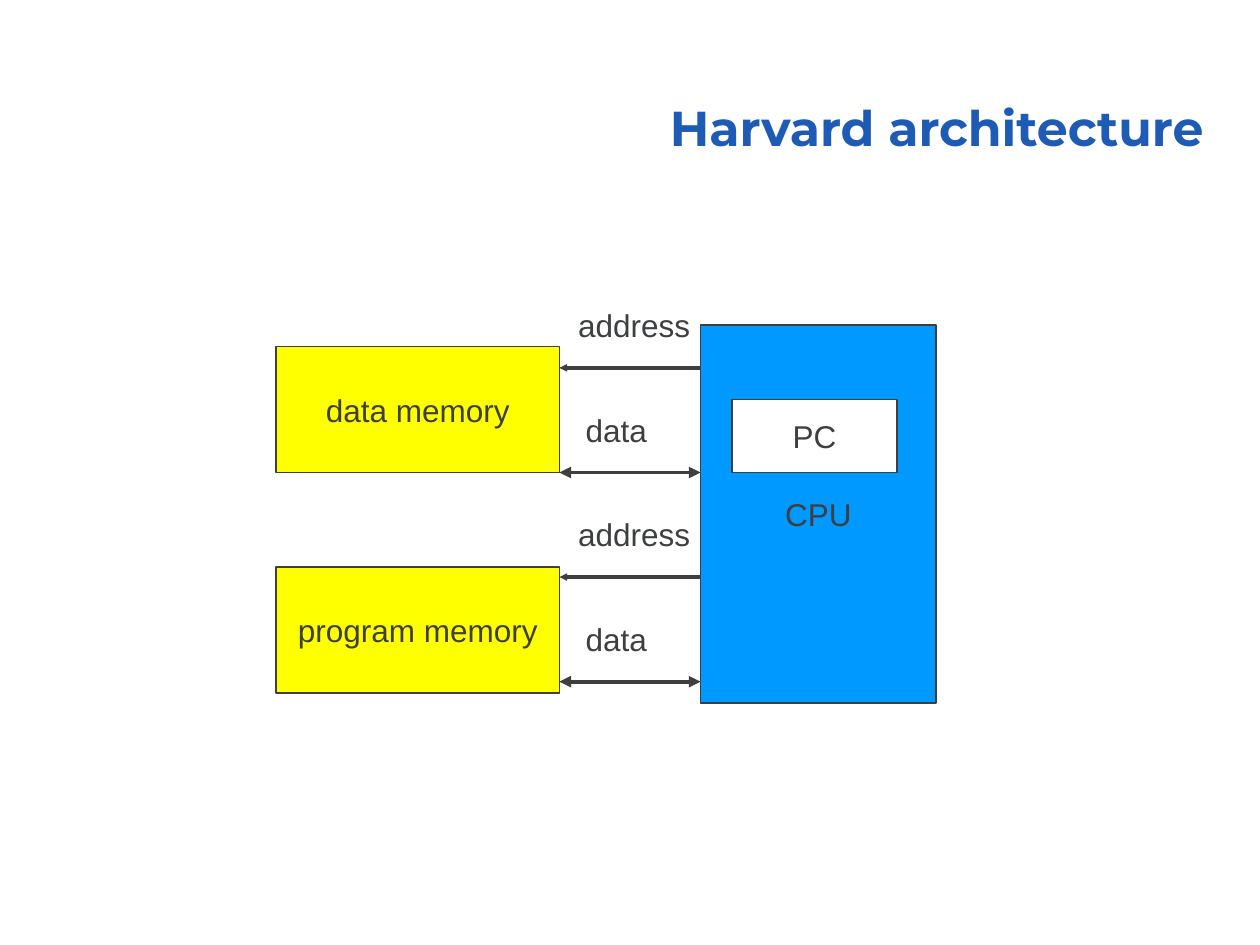
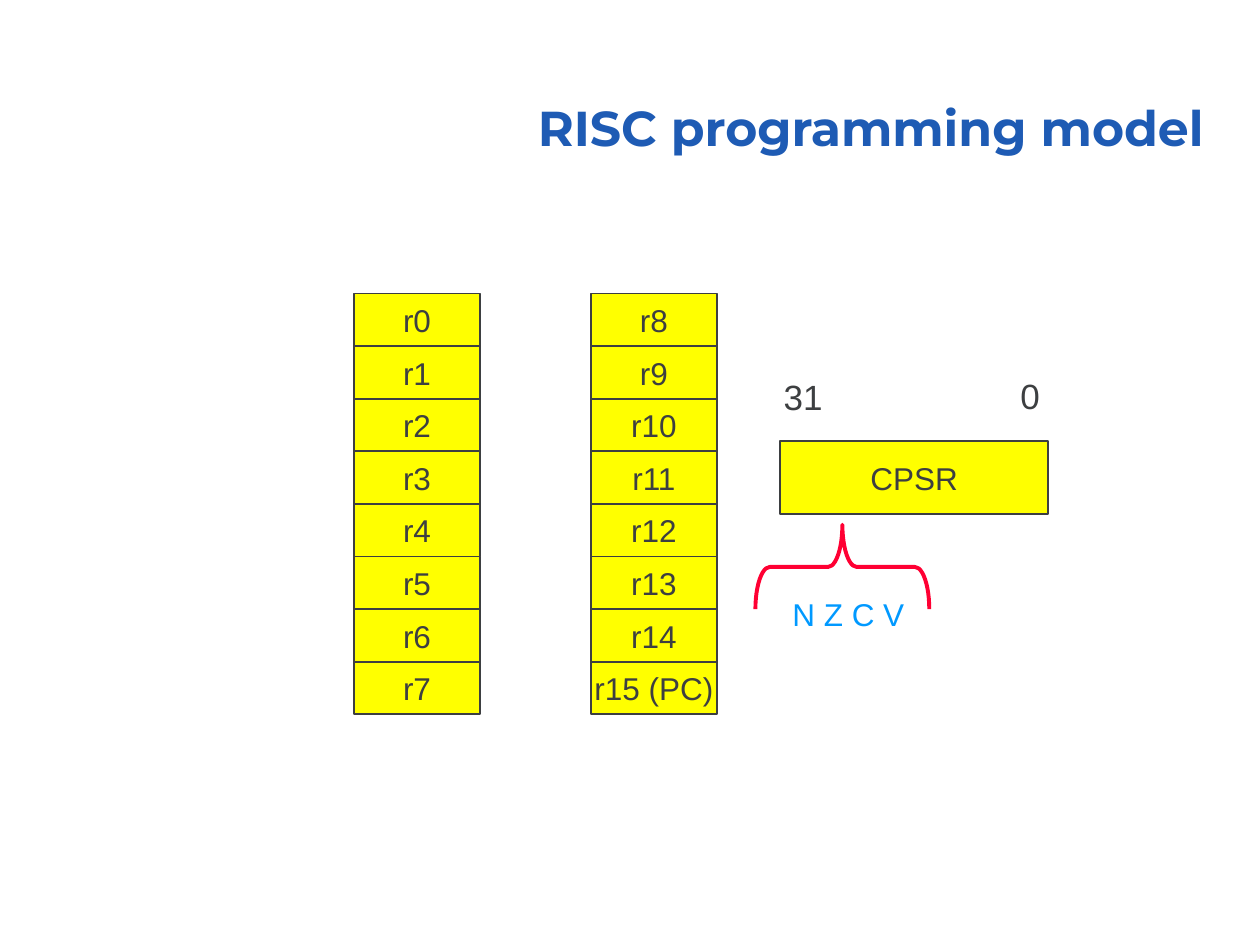
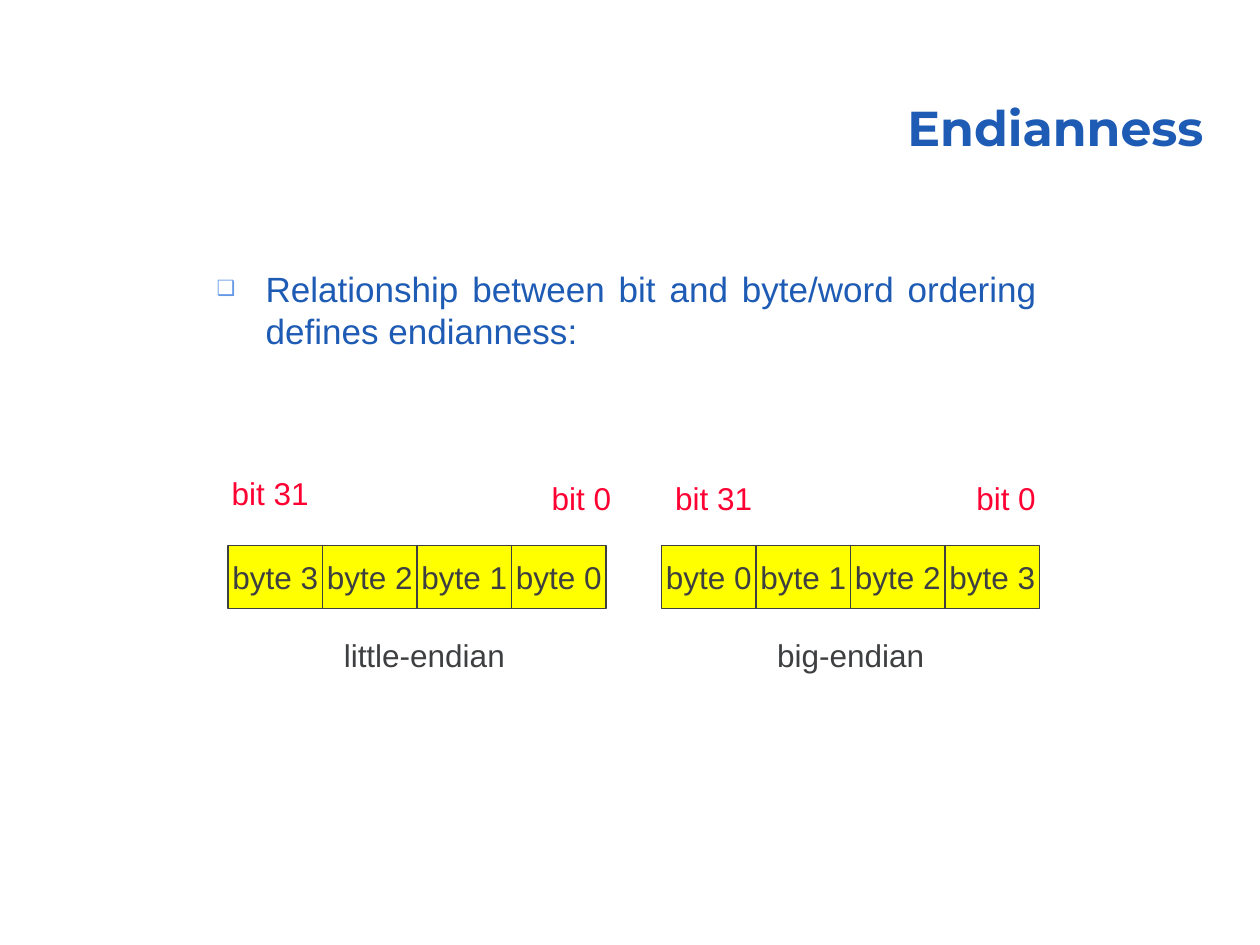
from typing import NamedTuple

from lxml.etree import SubElement
from pptx import Presentation
from pptx.dml.color import RGBColor
from pptx.enum.shapes import MSO_CONNECTOR, MSO_SHAPE
from pptx.enum.text import MSO_ANCHOR, PP_ALIGN
from pptx.oxml.ns import qn
from pptx.slide import Slide
from pptx.text.text import _Paragraph
from pptx.util import Inches, Pt

BODY_FONT = "Arial"
TITLE_FONT = "Montserrat"
BLUE = "1E5BB4"
BULLET_BLUE = "6599E5"
SKY = "0099FF"
YELLOW = "FFFF00"
WHITE = "FFFFFF"
DARK = "3D3F41"
RED = "FF0033"


class Box(NamedTuple):
    text: str
    left: float
    top: float
    width: float
    height: float
    fill: str = YELLOW


class Label(NamedTuple):
    text: str
    left: float
    top: float
    width: float
    height: float = 0.4
    color: str = DARK
    size: int = 18


class WordLayout(NamedTuple):
    name: Label
    left: float
    byte_order: tuple[int, ...]


def rgb(color: str) -> RGBColor:
    return RGBColor.from_string(color)


def style_font(paragraph: _Paragraph, color: str, size: int, name: str = BODY_FONT) -> None:
    font = paragraph.font
    font.name = name
    font.size = Pt(size)
    font.color.rgb = rgb(color)


def add_title(slide: Slide, text: str) -> None:
    shape = slide.shapes.add_textbox(Inches(2.94), Inches(0.53), Inches(6.71), Inches(0.77))
    frame = shape.text_frame
    frame.word_wrap = True
    frame.vertical_anchor = MSO_ANCHOR.BOTTOM
    paragraph = frame.paragraphs[0]
    paragraph.text = text
    paragraph.alignment = PP_ALIGN.RIGHT
    paragraph.line_spacing = 0.9
    style_font(paragraph, BLUE, 28, TITLE_FONT)
    paragraph.font.bold = True


def add_box(slide: Slide, box: Box) -> None:
    shape = slide.shapes.add_shape(
        MSO_SHAPE.RECTANGLE, Inches(box.left), Inches(box.top), Inches(box.width), Inches(box.height)
    )
    shape.shadow.inherit = False
    shape.fill.solid()
    shape.fill.fore_color.rgb = rgb(box.fill)
    shape.line.color.rgb = rgb(DARK)
    shape.line.width = Pt(1)
    frame = shape.text_frame
    frame.word_wrap = False
    frame.vertical_anchor = MSO_ANCHOR.MIDDLE
    paragraph = frame.paragraphs[0]
    paragraph.text = box.text
    paragraph.alignment = PP_ALIGN.CENTER
    style_font(paragraph, DARK, 18)


def add_label(slide: Slide, label: Label) -> None:
    shape = slide.shapes.add_textbox(
        Inches(label.left), Inches(label.top), Inches(label.width), Inches(label.height)
    )
    shape.text_frame.word_wrap = False
    paragraph = shape.text_frame.paragraphs[0]
    paragraph.text = label.text
    style_font(paragraph, label.color, label.size)


def add_arrow(slide: Slide, start: float, end: float, y: float, both_ends: bool = False) -> None:
    """Draw a level arrow: medium heads at both ends, or one small head at the end."""
    connector = slide.shapes.add_connector(
        MSO_CONNECTOR.STRAIGHT, Inches(start), Inches(y), Inches(end), Inches(y)
    )
    connector.line.color.rgb = rgb(DARK)
    connector.line.width = Pt(2.25)
    line = connector.line._get_or_add_ln()
    tags, head_size = (("a:headEnd", "a:tailEnd"), "med") if both_ends else (("a:tailEnd",), "sm")
    for tag in tags:
        SubElement(line, qn(tag), type="triangle", w=head_size, len=head_size)
    SubElement(connector._element.spPr, qn("a:effectLst"))


def add_bullet_text(slide: Slide, text: str) -> None:
    shape = slide.shapes.add_textbox(Inches(1.62), Inches(2.07), Inches(6.71), Inches(1.27))
    shape.text_frame.word_wrap = True
    paragraph = shape.text_frame.paragraphs[0]
    paragraph.text = text
    paragraph.alignment = PP_ALIGN.JUSTIFY
    properties = paragraph._p.get_or_add_pPr()
    properties.set("marL", str(Inches(0.39)))
    properties.set("indent", str(-Inches(0.39)))
    bullet_color = SubElement(properties, qn("a:buClr"))
    SubElement(bullet_color, qn("a:srgbClr"), val=BULLET_BLUE)
    SubElement(properties, qn("a:buSzPct"), val="60000")
    SubElement(properties, qn("a:buFont"), typeface=BODY_FONT)
    SubElement(properties, qn("a:buChar"), char="❑")
    style_font(paragraph, BLUE, 20)


def add_flag_brace(slide: Slide) -> None:
    brace = slide.shapes.add_shape(
        MSO_SHAPE.LEFT_BRACE, Inches(6.35), Inches(3.81), Inches(0.67), Inches(1.38)
    )
    brace.rotation = 90
    brace.adjustments[0] = 0.17
    brace.shadow.inherit = False
    brace.fill.background()
    brace.line.color.rgb = rgb(RED)
    brace.line.width = Pt(2.25)


def build_harvard(slide: Slide) -> None:
    add_title(slide, "Harvard architecture")
    memory_right, cpu_left = 4.44, 5.56
    for box in (
        Box("CPU", cpu_left, 2.58, 1.87, 3, SKY),
        Box("PC", 5.81, 3.17, 1.31, 0.58, WHITE),
        Box("data memory", 2.19, 2.75, 2.25, 1),
        Box("program memory", 2.19, 4.5, 2.25, 1),
    ):
        add_box(slide, box)
    for address_y in (2.92, 4.58):
        data_y = address_y + 0.83
        add_arrow(slide, cpu_left, memory_right, address_y)
        add_arrow(slide, memory_right, cpu_left, data_y, both_ends=True)
        add_label(slide, Label("address", 4.49, address_y - 0.54, 1.1))
        add_label(slide, Label("data", 4.55, data_y - 0.54, 0.7))


def build_registers(slide: Slide) -> None:
    add_title(slide, "RISC programming model")
    rows = 8
    row_height = 3.34 / rows
    for number in range(2 * rows):
        column, row = divmod(number, rows)
        text = "r15 (PC)" if number == 15 else f"r{number}"
        add_box(slide, Box(text, 2.81 + 1.88 * column, 2.33 + row_height * row, 1, row_height))
    add_box(slide, Box("CPSR", 6.19, 3.5, 2.13, 0.58))
    add_label(slide, Label("31", 6.12, 2.93, 0.51, 0.44, size=20))
    add_label(slide, Label("0", 8, 2.92, 0.35, 0.44, size=20))
    add_flag_brace(slide)
    add_label(slide, Label("N Z C V", 6.19, 4.67, 1.09, color=SKY))


def build_endianness(slide: Slide) -> None:
    add_title(slide, "Endianness")
    add_bullet_text(slide, "Relationship between bit and byte/word ordering defines endianness:")
    byte_width = 0.75
    for word in (
        WordLayout(Label("little-endian", 2.63, 5, 1.48), 1.81, (3, 2, 1, 0)),
        WordLayout(Label("big-endian", 6.07, 5, 1.37), 5.25, (0, 1, 2, 3)),
    ):
        for index, byte in enumerate(word.byte_order):
            add_box(slide, Box(f"byte {byte}", word.left + byte_width * index, 4.33, byte_width, 0.5))
        add_label(slide, word.name)
    for label in (
        Label("bit 31", 1.74, 3.71, 0.81, color=RED),
        Label("bit 0", 4.28, 3.75, 0.67, color=RED),
        Label("bit 31", 5.26, 3.75, 0.81, color=RED),
        Label("bit 0", 7.65, 3.75, 0.67, color=RED),
    ):
        add_label(slide, label)


def main() -> None:
    presentation = Presentation()
    presentation.slide_width = Inches(10)
    presentation.slide_height = Inches(7.5)
    blank_layout = presentation.slide_layouts[6]
    for build in (build_harvard, build_registers, build_endianness):
        build(presentation.slides.add_slide(blank_layout))
    presentation.save("out.pptx")


if __name__ == "__main__":
    main()
